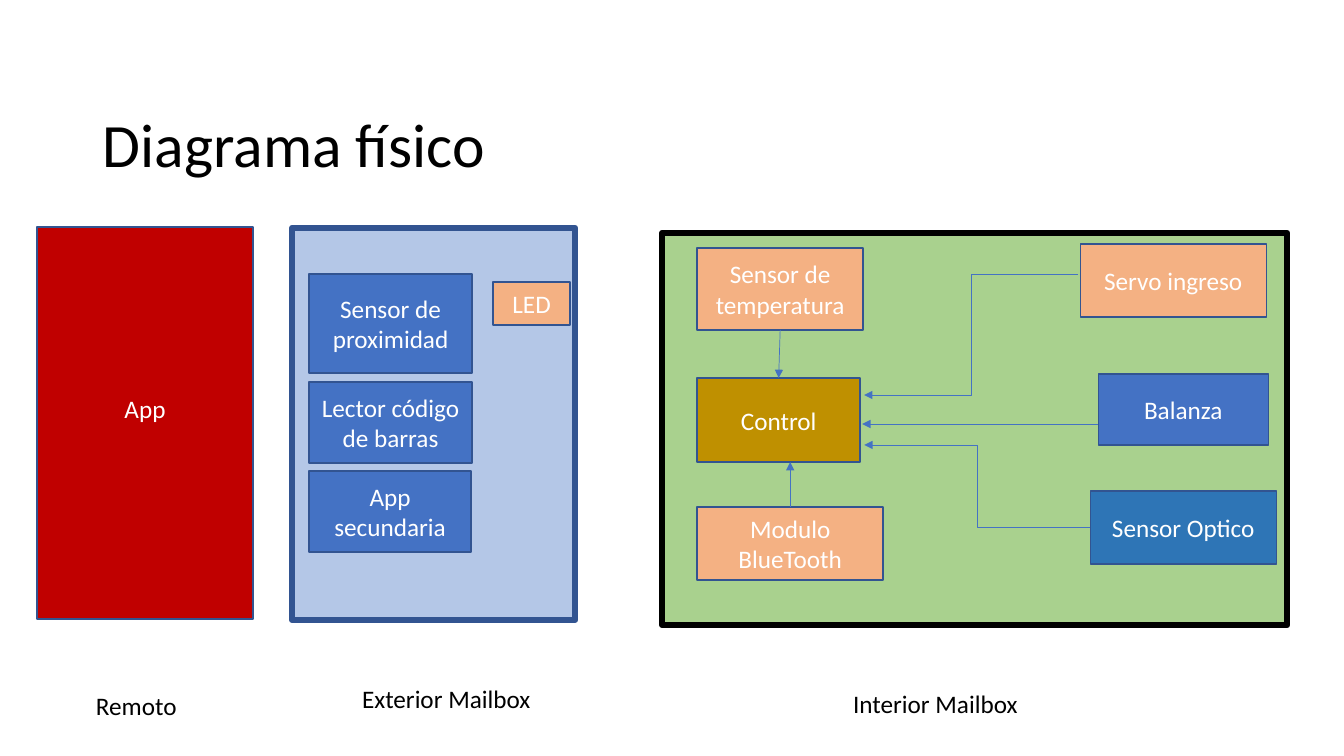
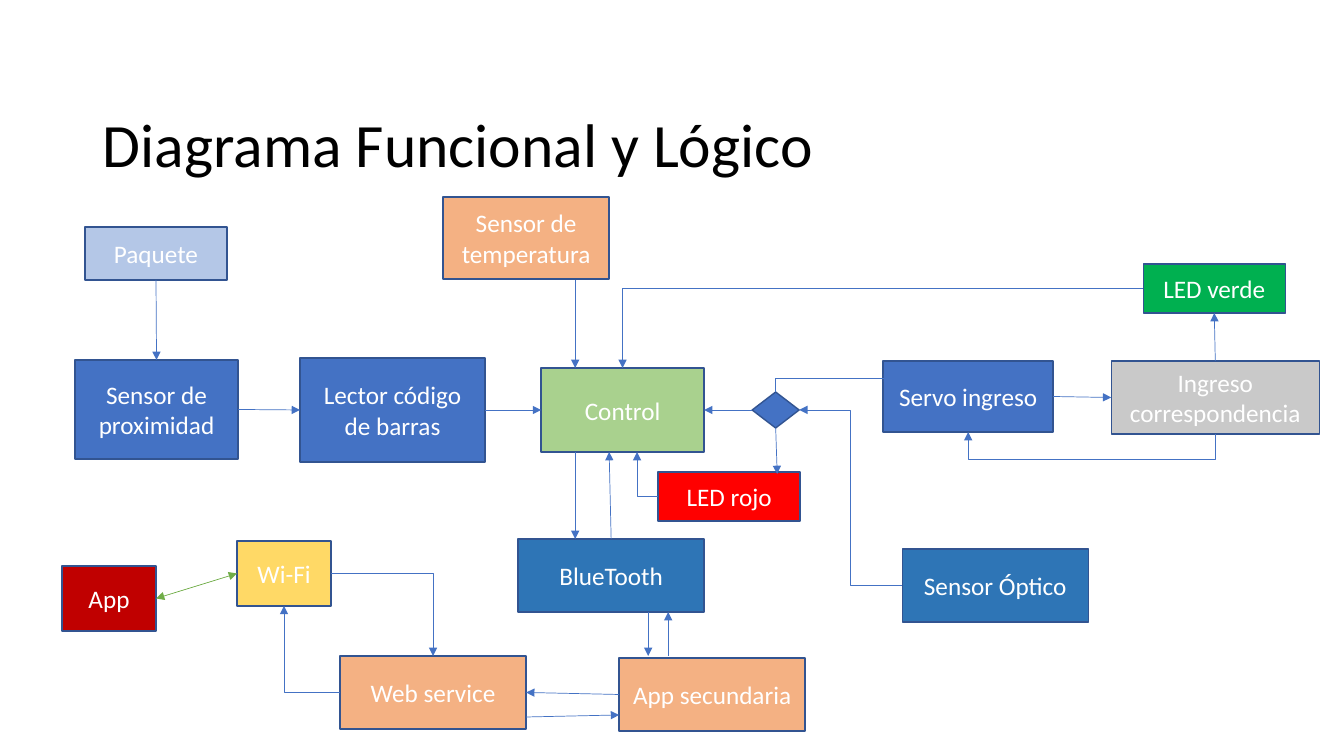
from dataclasses import dataclass

from pptx import Presentation
from pptx.dml.color import RGBColor
from pptx.enum.shapes import MSO_CONNECTOR, MSO_SHAPE
from pptx.enum.text import MSO_ANCHOR, MSO_AUTO_SIZE, PP_ALIGN
from pptx.oxml.ns import qn
from pptx.oxml.xmlchemy import OxmlElement
from pptx.util import Inches, Pt

TOP, LEFT, BOTTOM, RIGHT = range(4)


@dataclass(frozen=True)
class Theme:
    """Colours, font, type sizes and line widths."""
    font: str = "Calibri"
    title: int = 44
    body: int = 18
    border: float = 1
    frame: float = 4.5
    wire: float = 0.5
    black: str = "000000"
    white: str = "FFFFFF"
    navy: str = "325491"
    blue: str = "4472C4"
    deep: str = "2E75B6"
    pale: str = "B4C7E7"
    orange: str = "F4B183"
    gold: str = "BF9000"
    yellow: str = "FFD966"
    lime: str = "A9D18E"
    leaf: str = "70AD47"
    green: str = "00B050"
    gray: str = "C9C9C9"
    red: str = "FF0000"
    crimson: str = "C00000"


T = Theme()


def px(n):
    """Turn pixels into EMU."""
    return round(n * 914400 / 100.8)


def rgb(code):
    """Turn a hex code into a colour."""
    return RGBColor.from_string(code)


def site(sp, side):
    """Return the EMU point in the middle of a side."""
    x, y = sp.left + sp.width // 2, sp.top + sp.height // 2
    return {TOP: (x, sp.top), LEFT: (sp.left, y),
            BOTTOM: (x, sp.top + sp.height), RIGHT: (sp.left + sp.width, y)}[side]


class Deck:
    """Holds the presentation, its style and the current slide."""

    def __init__(self):
        """Start an empty widescreen deck."""
        self.prs = Presentation()
        self.prs.slide_width, self.prs.slide_height = Inches(13.33), Inches(7.5)

    def slide(self, title):
        """Add a blank slide with its title."""
        self.s = self.prs.slides.add_slide(self.prs.slide_layouts[6])
        tf = self.text(title, 93, 40, 1159, 146, T.title)
        tf.vertical_anchor = MSO_ANCHOR.BOTTOM
        tf.paragraphs[0].line_spacing = 0.9

    def fill_text(self, tf, text, size, color):
        """Fill a text frame with one styled paragraph."""
        tf.word_wrap = True
        p = tf.paragraphs[0]
        p.text = text
        p.font.name, p.font.size = T.font, Pt(size)
        p.font.color.rgb = rgb(color)
        return p

    def text(self, text, x, y, w, h, size=T.body):
        """Add a black text box."""
        tf = self.s.shapes.add_textbox(px(x), px(y), px(w), px(h)).text_frame
        self.fill_text(tf, text, size, T.black)
        return tf

    def label(self, text, x, y, w):
        """Add a caption that grows with its text."""
        self.text(text, x, y, w, 40).auto_size = MSO_AUTO_SIZE.SHAPE_TO_FIT_TEXT

    def shape(self, x, y, w, h, fill, line=T.navy, width=T.border, kind=MSO_SHAPE.RECTANGLE):
        """Add a filled, outlined shape."""
        sp = self.s.shapes.add_shape(kind, px(x), px(y), px(w), px(h))
        sp.shadow.inherit = False
        sp.fill.solid()
        sp.fill.fore_color.rgb = rgb(fill)
        sp.line.color.rgb = rgb(line)
        sp.line.width = Pt(width)
        return sp

    def box(self, text, x, y, w, h, fill):
        """Add a rectangle with centred white text."""
        sp = self.shape(x, y, w, h, fill)
        sp.text_frame.vertical_anchor = MSO_ANCHOR.MIDDLE
        self.fill_text(sp.text_frame, text, T.body, T.white).alignment = PP_ALIGN.CENTER
        return sp

    def link(self, start, end, prst="line", color=T.blue, heads=("tail",)):
        """Join two ends, each a pixel point or a (shape, side) pair."""
        ends = [tuple(map(px, e)) if isinstance(e[0], int) else site(*e) for e in (start, end)]
        kind = MSO_CONNECTOR.STRAIGHT if prst == "line" else MSO_CONNECTOR.ELBOW
        c = self.s.shapes.add_connector(kind, *ends[0], *ends[1])
        for e, glue in ((start, c.begin_connect), (end, c.end_connect)):
            if not isinstance(e[0], int):
                glue(*e)
        c.line.color.rgb = rgb(color)
        c.line.width = Pt(T.wire)
        sp_pr = c._element.spPr
        sp_pr.find(qn("a:prstGeom")).set("prst", prst)
        for name in heads:
            head = OxmlElement(f"a:{name}End")
            head.set("type", "triangle")
            sp_pr.find(qn("a:ln")).append(head)
        sp_pr.append(OxmlElement("a:effectLst"))
        return c

    def corner(self, start, end, heads=("tail",)):
        """Join two ends with one bend, horizontal part first."""
        return self.link(start, end, "bentConnector2", heads=heads)

    def elbow(self, start, end):
        """Join two ends with a step halfway across."""
        return self.link(start, end, "bentConnector3")

    def loop_below(self, start, end, drop):
        """Join two bottom sides by a path that dips below the first."""
        (x1, y1), (x2, y2) = site(start, BOTTOM), site(end, BOTTOM)
        c = self.elbow((start, BOTTOM), (end, BOTTOM))
        c.width, c.height = y1 - y2, x1 - x2
        c.left, c.top = (x1 + x2 - c.width) // 2, (y1 + y2 - c.height) // 2
        xfrm = c._element.spPr.find(qn("a:xfrm"))
        xfrm.attrib.pop("flipV", None)
        xfrm.set("flipH", "1")
        xfrm.set("rot", "5400000")
        geom = c._element.spPr.find(qn("a:prstGeom"))
        guides = geom.find(qn("a:avLst"))
        if guides is None:
            guides = OxmlElement("a:avLst")
            geom.append(guides)
        gd = OxmlElement("a:gd")
        gd.set("name", "adj1")
        gd.set("fmla", f"val {-round(px(drop) / c.width * 100000)}")
        guides.append(gd)


def physical(d):
    """Build the physical diagram."""
    d.slide("Diagrama físico")
    d.shape(662, 233, 625, 392, T.lime, T.black, T.frame)
    d.shape(292, 228, 283, 392, T.pale, T.navy, T.frame)
    d.box("Sensor de proximidad", 309, 274, 163, 99, T.blue)
    d.box("Lector código de barras", 309, 382, 163, 81, T.blue)
    d.box("App secundaria", 309, 471, 162, 81, T.blue)
    d.box("LED", 493, 282, 77, 43, T.orange)
    control = d.box("Control", 697, 378, 163, 84, T.gold)
    temp = d.box("Sensor de temperatura", 697, 248, 166, 82, T.orange)
    d.box("Servo ingreso", 1080, 244, 186, 73, T.orange)
    d.box("Balanza", 1098, 374, 170, 71, T.blue)
    modulo = d.box("Modulo BlueTooth", 697, 507, 186, 73, T.orange)
    optico = d.box("Sensor Optico", 1090, 491, 186, 73, T.deep)
    app = d.box("App", 37, 227, 216, 392, T.crimson)
    app.text_frame.margin_bottom = px(35)
    d.label("Remoto", 86, 685, 166)
    d.label("Interior Mailbox", 843, 683, 193)
    d.label("Exterior Mailbox", 352, 678, 193)
    d.link((modulo, TOP), (790, 462))
    d.link((temp, BOTTOM), (control, TOP))
    d.elbow((1078, 274), (864, 395))
    d.link((1098, 424), (862, 424))
    d.elbow((optico, LEFT), (864, 445))


def functional(d):
    """Build the functional and logical diagram."""
    d.slide("Diagrama Funcional y Lógico")
    prox = d.box("Sensor de proximidad", 75, 360, 163, 99, T.blue)
    lector = d.box("Lector código de barras", 300, 358, 185, 104, T.blue)
    control = d.box("Control", 541, 368, 163, 84, T.lime)
    rojo = d.box("LED rojo", 658, 472, 142, 49, T.red)
    d.box("Sensor de temperatura", 443, 197, 166, 82, T.orange)
    servo = d.box("Servo ingreso", 883, 361, 170, 71, T.blue)
    secundaria = d.box("App secundaria", 619, 658, 186, 73, T.orange)
    wifi = d.box("Wi-Fi", 237, 541, 94, 65, T.yellow)
    app = d.box("App", 62, 566, 94, 65, T.crimson)
    optico = d.box("Sensor Óptico", 902, 549, 186, 73, T.deep)
    paquete = d.box("Paquete", 85, 227, 142, 53, T.pale)
    choice = d.shape(752, 392, 47, 36, T.blue, kind=MSO_SHAPE.DIAMOND)
    ingreso = d.box("Ingreso correspondencia", 1111, 361, 208, 73, T.gray)
    verde = d.box("LED verde", 1143, 264, 142, 49, T.green)
    web = d.box("Web service", 340, 656, 186, 73, T.orange)
    tooth = d.box("BlueTooth", 518, 539, 186, 73, T.deep)

    for start, end in (
        ((prox, RIGHT), (lector, LEFT)),
        ((lector, RIGHT), (control, LEFT)),
        ((paquete, BOTTOM), (prox, TOP)),
        ((choice, BOTTOM), (777, 474)),
        ((choice, LEFT), (control, RIGHT)),
        ((servo, RIGHT), (ingreso, LEFT)),
        ((ingreso, TOP), (verde, BOTTOM)),
        ((575, 280), (575, 368)),
        ((575, 452), (575, 539)),
        ((tooth, TOP), (609, 452)),
        ((668, 656), (668, 612)),
        ((648, 612), (648, 656)),
        ((secundaria, LEFT), (web, RIGHT)),
        ((526, 717), (619, 715)),
    ):
        d.link(start, end)
    d.link((app, RIGHT), (wifi, LEFT), color=T.leaf, heads=("head", "tail"))
    d.corner((rojo, LEFT), (637, 452))
    d.corner((verde, LEFT), (control, TOP))
    d.corner((wifi, RIGHT), (web, TOP))
    d.corner((web, LEFT), (wifi, BOTTOM))
    d.corner((892, 378), (choice, TOP), heads=("head",))
    d.elbow((optico, LEFT), (choice, RIGHT))
    d.loop_below(ingreso, servo, 26)


deck = Deck()
physical(deck)
functional(deck)
deck.prs.save("out.pptx")
